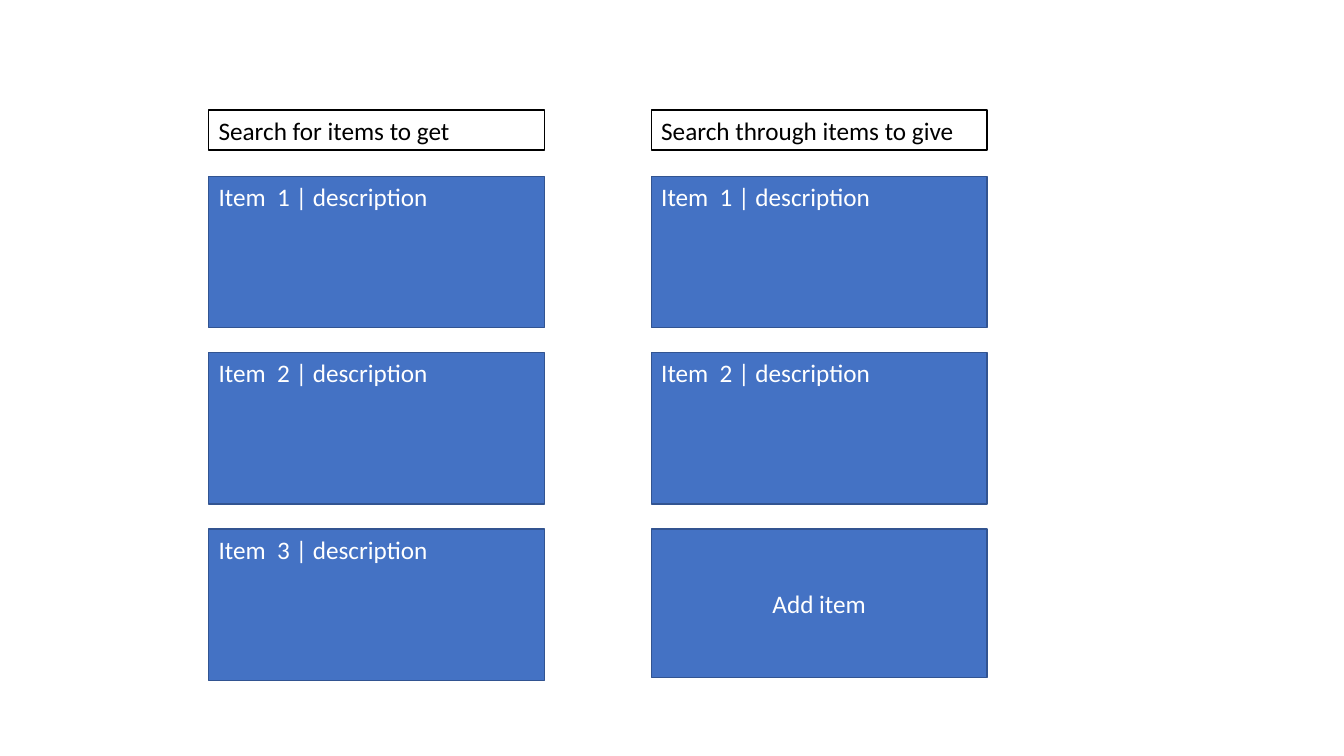
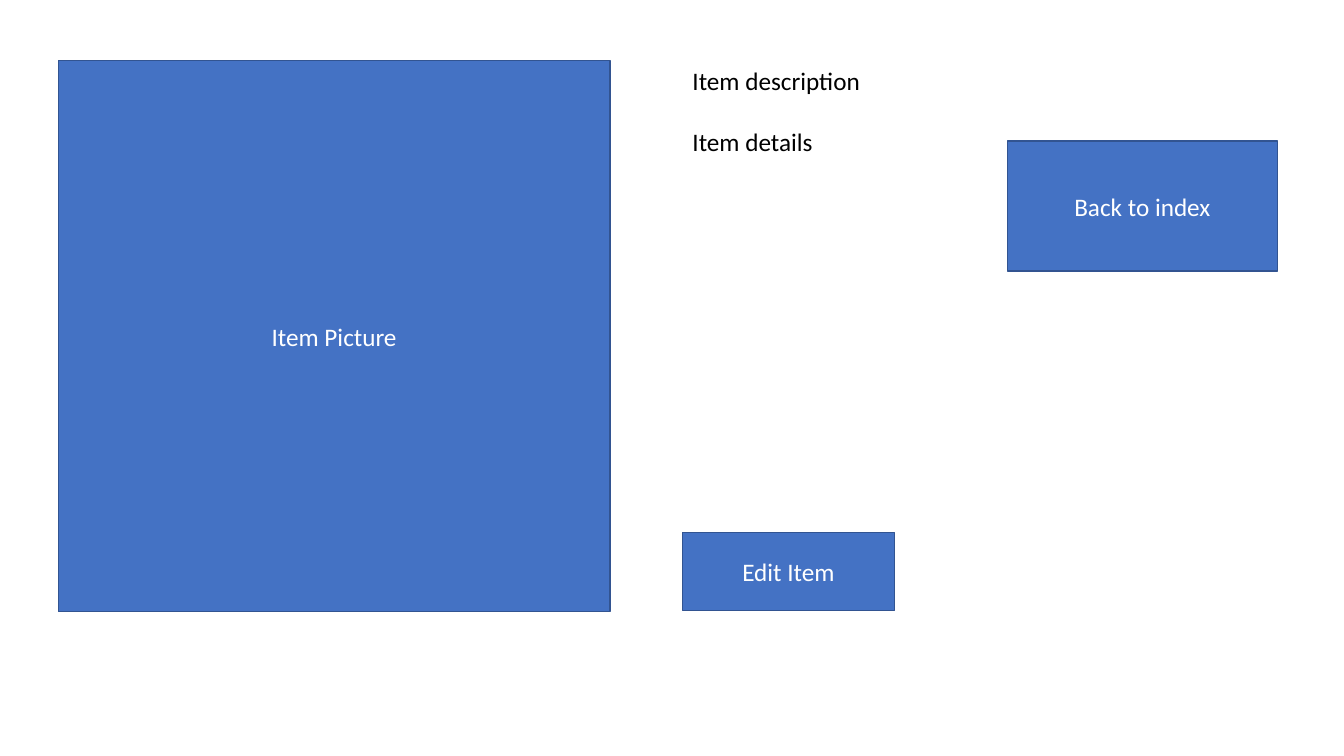
import pptx
import pptx.util
import pptx.dml.color
import pptx.enum.shapes
import pptx.enum.text

Inches = pptx.util.Inches
Pt = pptx.util.Pt
Align = pptx.enum.text.PP_ALIGN
Anchor = pptx.enum.text.MSO_ANCHOR

THEME = {
    "font": "Calibri", "size": 18, "line": 1, "gap": 22,
    "blue": "4472C4", "edge": "325491", "white": "FFFFFF", "black": "000000",
}

LISTS = [
    ("Search for items to get",
     ["Item  1 | description", "Item  2 | description", "Item  3 | description"], None),
    ("Search through items to give",
     ["Item  1 | description", "Item  2 | description"], "Add item"),
]
DETAILS = ["Item description", "Item details"]
BUTTONS = [
    ("Item Picture", (0.58, 0.6, 5.47, 5.47)),
    ("Edit Item", (6.77, 5.28, 2.1, 0.78)),
    ("Back to index", (9.99, 1.4, 2.68, 1.29)),
]

LEFT, STEP, WIDTH = 2.07, 4.39, 3.33
SEARCH_TOP, SEARCH_HIGH = 1.09, 0.4
CARD_TOP, CARD_STEP, CARD_HIGH, ADD_HIGH = 1.75, 1.75, 1.5, 1.47


def color(name):
    return pptx.dml.color.RGBColor.from_string(THEME[name])


def write(shape, lines, ink="white", align=Align.LEFT, anchor=Anchor.TOP):
    frame = shape.text_frame
    frame.word_wrap = True
    frame.vertical_anchor = anchor
    for i, line in enumerate(lines):
        para = frame.add_paragraph() if i else frame.paragraphs[0]
        para.alignment = align
        para.space_before = Pt(THEME["gap"] if i else 0)
        run = para.add_run()
        run.text = line
        run.font.name = THEME["font"]
        run.font.size = Pt(THEME["size"])
        run.font.color.rgb = color(ink)


def box(slide, text, area, fill="blue", edge="edge", **style):
    shape = slide.shapes.add_shape(
        pptx.enum.shapes.MSO_SHAPE.RECTANGLE, *map(Inches, area))
    shape.shadow.inherit = False
    shape.fill.solid()
    shape.fill.fore_color.rgb = color(fill)
    shape.line.color.rgb = color(edge)
    shape.line.width = Pt(THEME["line"])
    write(shape, [text], **style)


def button(slide, text, area):
    box(slide, text, area, align=Align.CENTER, anchor=Anchor.MIDDLE)


def index(slide):
    for col, (search, cards, add) in enumerate(LISTS):
        left = LEFT + col * STEP
        box(slide, search, (left, SEARCH_TOP, WIDTH, SEARCH_HIGH),
            fill="white", edge="black", ink="black")
        for row, card in enumerate(cards):
            box(slide, card, (left, CARD_TOP + row * CARD_STEP, WIDTH, CARD_HIGH))
        if add:
            top = CARD_TOP + len(cards) * CARD_STEP
            button(slide, add, (left, top, WIDTH, ADD_HIGH))


def detail(slide):
    area = (6.77, 0.6, 5.9, 1.01)
    write(slide.shapes.add_textbox(*map(Inches, area)), DETAILS, ink="black")
    for text, area in BUTTONS:
        button(slide, text, area)


def main():
    deck = pptx.Presentation()
    deck.slide_width = Inches(13.33)
    deck.slide_height = Inches(7.5)
    for draw in (index, detail):
        draw(deck.slides.add_slide(deck.slide_layouts[6]))
    deck.save("out.pptx")


if __name__ == "__main__":
    main()
